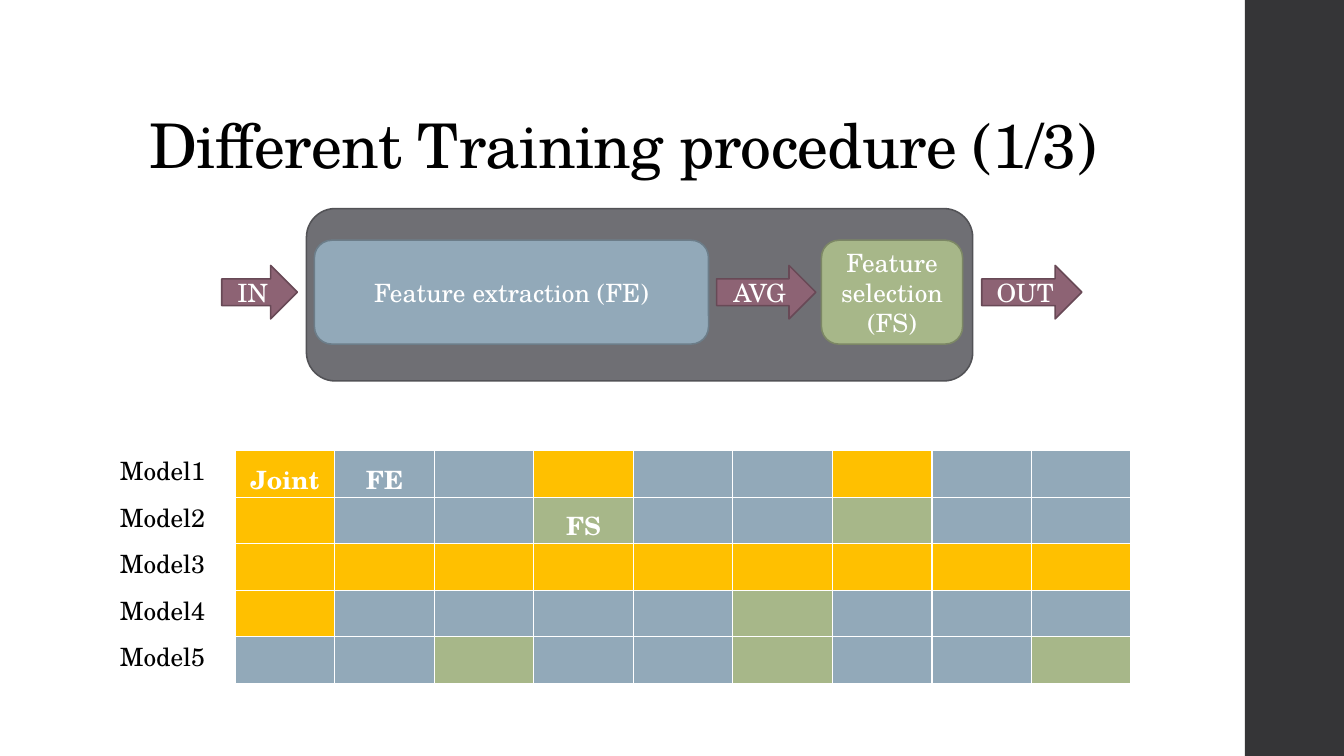
"""Build the slide comparing joint, FE and FS training schedules of five models."""
from lxml import etree
from pptx import Presentation
from pptx.dml.color import RGBColor
from pptx.enum.shapes import MSO_SHAPE
from pptx.enum.text import MSO_ANCHOR, PP_ALIGN
from pptx.oxml.ns import qn
from pptx.util import Pt

ROUNDED, ARROW, RECTANGLE = MSO_SHAPE.ROUNDED_RECTANGLE, MSO_SHAPE.RIGHT_ARROW, MSO_SHAPE.RECTANGLE
TOP, MIDDLE, BOTTOM = MSO_ANCHOR.TOP, MSO_ANCHOR.MIDDLE, MSO_ANCHOR.BOTTOM
LEFT, CENTER = PP_ALIGN.LEFT, PP_ALIGN.CENTER

FONT = "TeX Gyre Schola"
BLACK, WHITE = RGBColor(0, 0, 0), RGBColor(255, 255, 255)
CHARCOAL = RGBColor(0x35, 0x35, 0x37)
GRAY, GRAY_EDGE = RGBColor(0x6F, 0x6F, 0x74), RGBColor(0x52, 0x52, 0x56)
BLUE, BLUE_EDGE = RGBColor(0x92, 0xA9, 0xB9), RGBColor(0x6C, 0x7D, 0x89)
GREEN, GREEN_EDGE = RGBColor(0xA7, 0xB7, 0x89), RGBColor(0x7C, 0x87, 0x65)
PLUM, PLUM_EDGE = RGBColor(0x8D, 0x63, 0x74), RGBColor(0x68, 0x49, 0x56)
YELLOW = RGBColor(0xFF, 0xC0, 0x00)

TITLE = "Different Training procedure (1/3)"
STAGES = [
    ("Feature extraction (FE)", 224.6, 281.5, BLUE, BLUE_EDGE),
    ("Feature selection (FS)", 586.8, 100.8, GREEN, GREEN_EDGE),
]
FLOWS = [("IN", 158.4, 54), ("AVG", 511.9, 70.8), ("OUT", 701.3, 71.5)]
PHASES = {"J": YELLOW, "E": BLUE, "S": GREEN}
SCHEDULES = [
    ("Model1", "JEEJEEJEE"),
    ("Model2", "JEESEESEE"),
    ("Model3", "JJJJJJJJJ"),
    ("Model4", "JEEEESEEE"),
    ("Model5", "EESEESEES"),
]
LEGEND = {("Model1", 0): "Joint", ("Model1", 1): "FE", ("Model2", 3): "FS"}

GRID_LEFT, GRID_TOP, GRID_WIDTH = 168, 322, 639.9
ROW_STEP, ROW_HEIGHT = 33.2, 33.6
LABEL_LEFT, LABEL_WIDTH, LABEL_HEIGHT = 78.5, 76.3, 29
FLOW_AXIS, STAGE_HEIGHT, FLOW_HEIGHT = 208.7, 74.2, 38.2


def write(frame, text, color=WHITE, align=CENTER, size=18, bold=False):
    frame.text = text
    para = frame.paragraphs[0]
    para.alignment = align
    for span in para.runs:
        span.font.name, span.font.size = FONT, Pt(size)
        span.font.bold, span.font.color.rgb = bold, color


def add_block(page, kind, left, top, width, height, fill, edge=None):
    block = page.shapes.add_shape(kind, Pt(left), Pt(top), Pt(width), Pt(height))
    block.shadow.inherit = False
    block.fill.solid()
    block.fill.fore_color.rgb = fill
    if edge is None:
        block.line.fill.background()
    else:
        block.line.color.rgb, block.line.width = edge, Pt(1.1)
    return block


def add_step(page, kind, text, left, width, height, fill, edge):
    step = add_block(page, kind, left, FLOW_AXIS - height / 2, width, height, fill, edge)
    frame = step.text_frame
    frame.vertical_anchor = MIDDLE
    frame.word_wrap = kind == ROUNDED
    write(frame, text)


def outline(cell):
    properties = cell._tc.get_or_add_tcPr()
    for position, side in enumerate(("a:lnL", "a:lnR", "a:lnT", "a:lnB")):
        border = etree.Element(qn(side), w=str(Pt(1)))
        fill = etree.SubElement(border, qn("a:solidFill"))
        etree.SubElement(fill, qn("a:srgbClr"), val=str(WHITE))
        properties.insert(position, border)


def add_schedule(page, model, phases, top):
    holder = page.shapes.add_table(
        1, len(phases), Pt(GRID_LEFT), Pt(top), Pt(GRID_WIDTH), Pt(ROW_HEIGHT))
    table = holder.table
    table.horz_banding = False
    for index, phase in enumerate(phases):
        table.columns[index].width = Pt(GRID_WIDTH / len(phases))
        cell = table.cell(0, index)
        cell.fill.solid()
        cell.fill.fore_color.rgb = PHASES[phase]
        cell.vertical_anchor = TOP
        cell.margin_top = Pt(6.5)
        if (model, index) in LEGEND:
            write(cell.text_frame, LEGEND[model, index], bold=True)
        outline(cell)


def add_label(page, model, top):
    box = page.shapes.add_textbox(Pt(LABEL_LEFT), Pt(top), Pt(LABEL_WIDTH), Pt(LABEL_HEIGHT))
    box.text_frame.word_wrap = False
    write(box.text_frame, model, BLACK, LEFT)


def add_title(page):
    title = page.shapes.title
    title.left, title.top, title.width, title.height = Pt(99.4), Pt(28.8), Pt(763.2), Pt(104.4)
    frame = title.text_frame
    frame.vertical_anchor = BOTTOM
    write(frame, TITLE, BLACK, LEFT, 44)
    para = frame.paragraphs[0]
    para.line_spacing = 0.9
    para.runs[0]._r.get_or_add_rPr().set("spc", "-50")


def main():
    deck = Presentation()
    deck.slide_width, deck.slide_height = Pt(960), Pt(540)
    page = deck.slides.add_slide(deck.slide_layouts[5])
    add_block(page, RECTANGLE, 889.2, 0, 70.8, 540, CHARCOAL)
    add_block(page, ROUNDED, 218.9, 149, 475.9, 123.1, GRAY, GRAY_EDGE)
    add_title(page)
    for text, left, width, fill, edge in STAGES:
        add_step(page, ROUNDED, text, left, width, STAGE_HEIGHT, fill, edge)
    for text, left, width in FLOWS:
        add_step(page, ARROW, text, left, width, FLOW_HEIGHT, PLUM, PLUM_EDGE)
    for index, (model, phases) in enumerate(SCHEDULES):
        top = GRID_TOP + index * ROW_STEP
        add_schedule(page, model, phases, top)
        add_label(page, model, top)
    deck.save("out.pptx")


if __name__ == "__main__":
    main()
